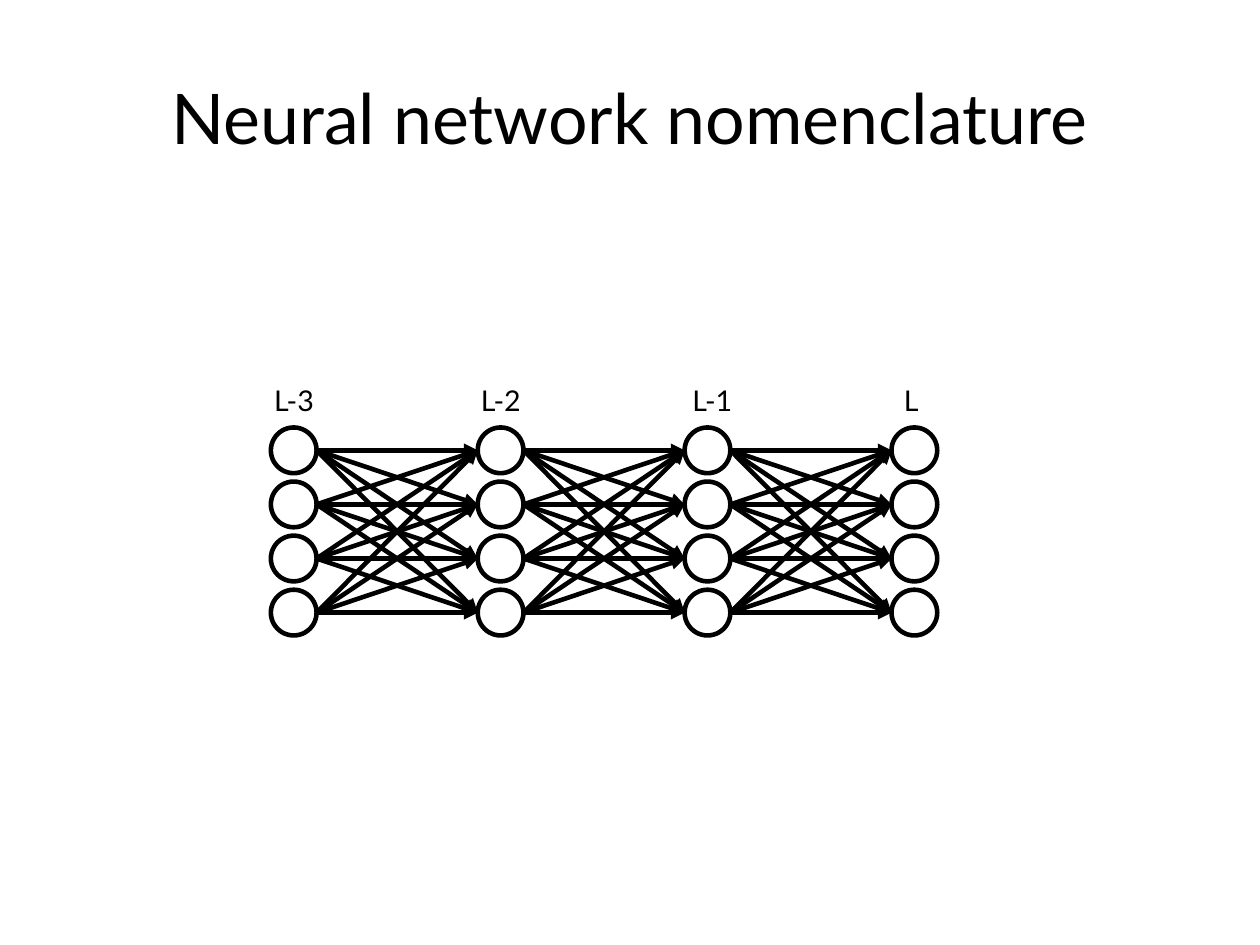
from itertools import product

from lxml.etree import SubElement
from pptx import Presentation
from pptx.dml.color import RGBColor
from pptx.enum.shapes import MSO_CONNECTOR, MSO_SHAPE
from pptx.enum.text import MSO_ANCHOR, PP_ALIGN
from pptx.oxml.ns import qn
from pptx.util import Cm, Inches, Pt

COLORS = {"ink": "000000", "neuron": "FFFFFF"}
INK = RGBColor.from_string(COLORS["ink"])
FONT = "Lato"
STROKE = Pt(2.89)

# Grid of the network: four layers of four neurons
LAYERS, NEURONS = 4, 4
LEFT, TOP = 2.37, 3.74
LAYER_STEP = 1.81
NEURON_STEP = 1.42 / (NEURONS - 1)
DIAMETER = 0.4

presentation = Presentation()
presentation.slide_width = Cm(28)
presentation.slide_height = Cm(21)
slide = presentation.slides.add_slide(presentation.slide_layouts[6])


def add_text(text, left, top, width, height, size):
    box = slide.shapes.add_textbox(*map(Inches, (left, top, width, height)))
    frame = box.text_frame
    frame.word_wrap = True
    paragraph = frame.paragraphs[0]
    paragraph.text = text
    paragraph.font.name = FONT
    paragraph.font.size = Pt(size)
    paragraph.font.color.rgb = INK
    return frame


# Title
title = add_text("Neural network nomenclature", 0.55, 0.33, 9.92, 1.38, 44)
title.margin_left = title.margin_right = title.margin_top = title.margin_bottom = 0
title.vertical_anchor = MSO_ANCHOR.MIDDLE
title.paragraphs[0].alignment = PP_ALIGN.CENTER

# Weights: every neuron points to every neuron of the next layer
for layer, source, target in product(range(LAYERS - 1), range(NEURONS), range(NEURONS)):
    start = LEFT + layer * LAYER_STEP + DIAMETER
    end = LEFT + (layer + 1) * LAYER_STEP
    source_y, target_y = (TOP + DIAMETER / 2 + n * NEURON_STEP for n in (source, target))
    weight = slide.shapes.add_connector(
        MSO_CONNECTOR.STRAIGHT,
        Inches(start), Inches(source_y), Inches(end), Inches(target_y))
    weight.line.color.rgb = INK
    weight.line.width = STROKE
    SubElement(weight.line._get_or_add_ln(), qn("a:tailEnd"), type="triangle")
    SubElement(weight._element.spPr, qn("a:effectLst"))

# Neurons
for layer, row in product(range(LAYERS), range(NEURONS)):
    neuron = slide.shapes.add_shape(
        MSO_SHAPE.OVAL,
        Inches(LEFT + layer * LAYER_STEP), Inches(TOP + row * NEURON_STEP),
        Inches(DIAMETER), Inches(DIAMETER))
    neuron.shadow.inherit = False
    neuron.fill.solid()
    neuron.fill.fore_color.rgb = RGBColor.from_string(COLORS["neuron"])
    neuron.line.color.rgb = INK
    neuron.line.width = STROKE

# Layer names
for layer_name, left in (("L-3", 2.3), ("L-2", 4.11), ("L-1", 5.96), ("L", 7.81)):
    add_text(layer_name, left, 3.3, 1.37, 0.47, 18)

presentation.save("out.pptx")
